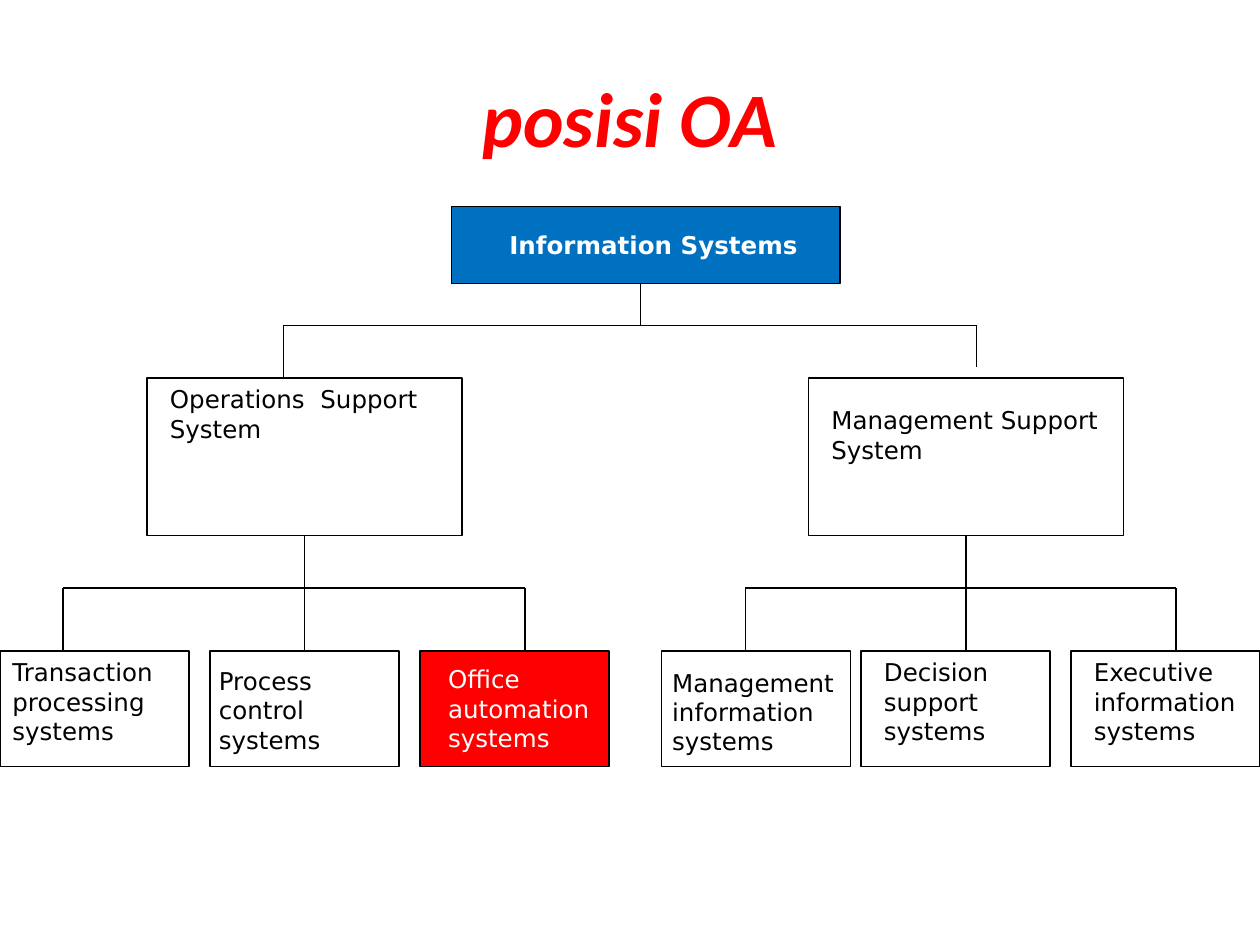
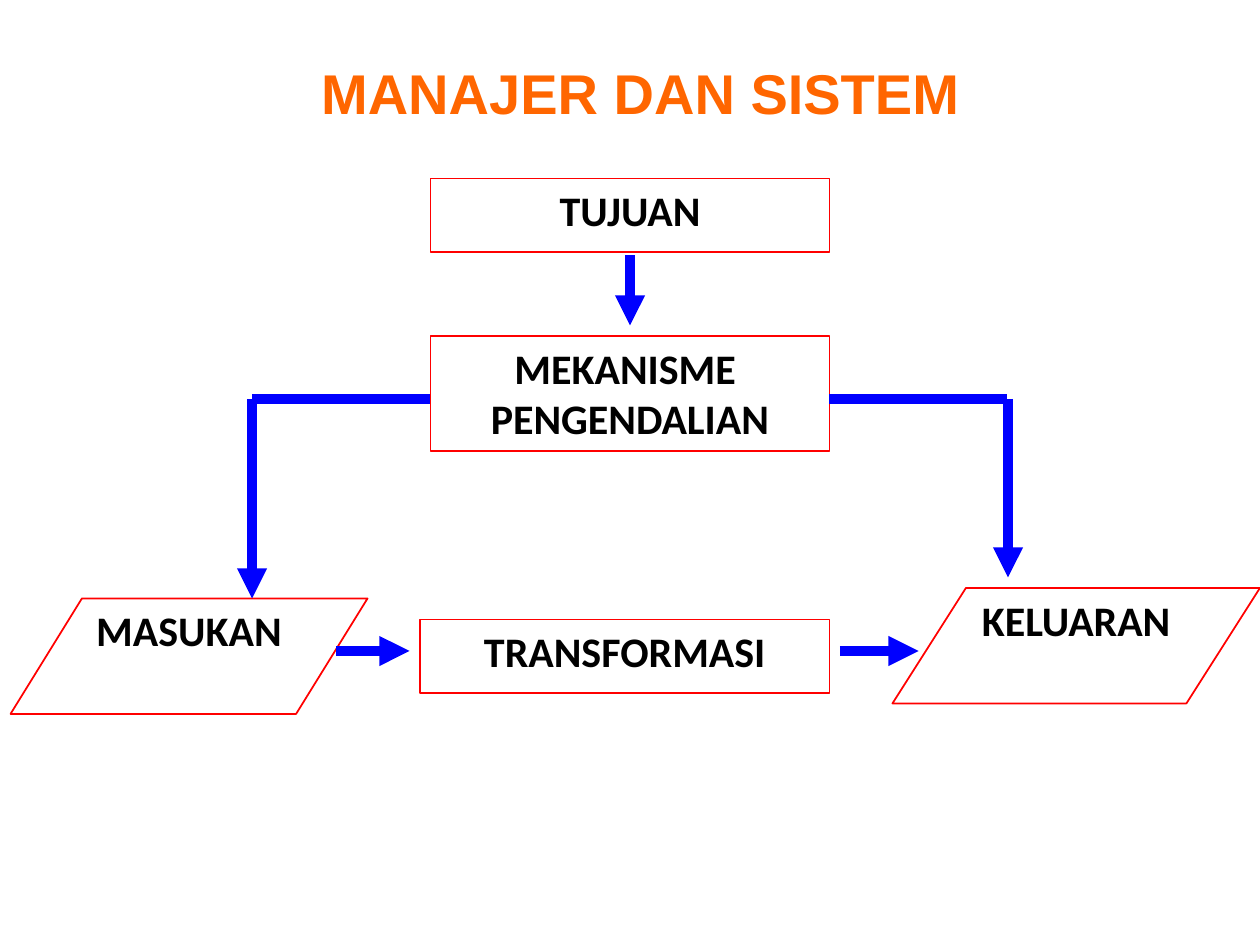
from dataclasses import dataclass
from typing import NamedTuple, Optional

from lxml import etree
from pptx import Presentation
from pptx import util as u
from pptx.dml import color as c
from pptx.enum import shapes as s
from pptx.enum import text as t
from pptx.oxml import ns


class Face(NamedTuple):
    font: str
    size: float
    ink: str
    bold: bool = False
    slant: bool = False


class Pen(NamedTuple):
    ink: str
    width: float


@dataclass(frozen=True)
class Theme:
    blue: str = "0070C0"
    red: str = "FF0000"
    lead: Face = Face("Calibri", 44, "FF0000", True, True)
    head: Face = Face("Arial", 32, "FF6600", True)
    root: Face = Face("DejaVu Sans", 14, "FFFFFF", True)
    dark: Face = Face("DejaVu Sans", 14, "000000")
    light: Face = Face("DejaVu Sans", 14, "FFFFFF")
    step: Face = Face("Calibri", 24, "000000", True)
    thin: Pen = Pen("000000", 0.75)
    edge: Pen = Pen("FF0000", 1)
    flow: Pen = Pen("0000FF", 5.75)


THEME = Theme()
RECT = s.MSO_SHAPE.RECTANGLE
SKEW = s.MSO_SHAPE.FLOWCHART_DATA


class Area(NamedTuple):
    left: float
    top: float
    width: float
    height: float


class Point(NamedTuple):
    x: float
    y: float


@dataclass(frozen=True)
class Node:
    words: str
    box: Area
    label: Area
    face: Face = THEME.dark
    fill: Optional[str] = None


@dataclass(frozen=True)
class Fork:
    stem: Point
    bar: float
    foot: float
    ends: tuple[Point, Point]
    above: Optional[int] = None
    below: Optional[int] = None


@dataclass(frozen=True)
class Step:
    words: str
    box: Area
    kind: s.MSO_SHAPE = RECT


@dataclass(frozen=True)
class Link:
    start: Point
    end: Point
    head: bool = True


def leaf(words: str, left: float, label: Area, **look) -> Node:
    return Node(words, Area(left, 372, 108, 66), label, **look)


NODES = (
    Node("Information Systems", Area(258, 118, 222, 44),
         Area(284, 128, 186, 24), THEME.root, THEME.blue),
    Node("Operations  Support System", Area(84, 216, 180, 90),
         Area(90, 216, 198, 41)),
    Node("Management Support System", Area(462, 216, 180, 90),
         Area(468, 228, 186, 41)),
    leaf("Transaction processing systems", 0, Area(0, 372, 126, 58)),
    leaf("Process control systems", 120, Area(118, 377, 114, 58)),
    leaf("Office automation systems", 240, Area(249, 376, 102, 58),
         face=THEME.light, fill=THEME.red),
    leaf("Management information systems", 378, Area(377, 378, 109, 58)),
    leaf("Decision support systems", 492, Area(498, 372, 90, 58)),
    leaf("Executive information systems", 612, Area(618, 372, 102, 58)),
)

FORKS = (
    Fork(Point(366, 162), 186, 186, (Point(162, 216), Point(558, 210))),
    Fork(Point(174, 306), 336, 372, (Point(36, 372), Point(300, 372)), 1, 4),
    Fork(Point(552, 306), 336, 372, (Point(426, 372), Point(672, 372)), 2),
)

STEPS = (
    Step("TUJUAN", Area(246, 102, 228, 42)),
    Step("MEKANISME  PENGENDALIAN", Area(246, 192, 228, 66)),
    Step("TRANSFORMASI", Area(240, 354, 234, 42)),
    Step("MASUKAN", Area(6, 342, 204, 66), SKEW),
    Step("KELUARAN", Area(510, 336, 210, 66), SKEW),
)

LINKS = (
    Link(Point(192, 372), Point(234, 372)),
    Link(Point(480, 372), Point(525, 372)),
    Link(Point(144, 228), Point(245.5, 228), False),
    Link(Point(144, 228), Point(144, 342)),
    Link(Point(474, 228), Point(575.5, 228), False),
    Link(Point(576, 228), Point(576, 330)),
    Link(Point(360, 146), Point(360, 186)),
)


def pts(values) -> list[u.Pt]:
    return [u.Pt(v) for v in values]


def rgb(ink: str) -> c.RGBColor:
    return c.RGBColor.from_string(ink)


def write(frame, words: str, face: Face, align=t.PP_ALIGN.CENTER,
          anchor=t.MSO_ANCHOR.TOP, fit=t.MSO_AUTO_SIZE.NONE) -> None:
    frame.word_wrap = True
    frame.auto_size = fit
    frame.vertical_anchor = anchor
    frame.text = words
    para = frame.paragraphs[0]
    para.alignment = align
    font = para.font
    font.name, font.size = face.font, u.Pt(face.size)
    font.bold, font.italic = face.bold, face.slant
    font.color.rgb = rgb(face.ink)


def title(slide, words: str, area: Area, face: Face, anchor) -> None:
    shape = slide.shapes.title
    shape.left, shape.top, shape.width, shape.height = pts(area)
    write(shape.text_frame, words, face, anchor=anchor)


def box(slide, area: Area, pen: Pen, fill: Optional[str] = None, kind=RECT):
    shape = slide.shapes.add_shape(kind, *pts(area))
    shape.shadow.inherit = False
    if fill:
        shape.fill.solid()
        shape.fill.fore_color.rgb = rgb(fill)
    else:
        shape.fill.background()
    shape.line.color.rgb = rgb(pen.ink)
    shape.line.width = u.Pt(pen.width)
    return shape


def line(slide, start: Point, end: Point, pen: Pen, head: bool = False):
    wire = slide.shapes.add_connector(
        s.MSO_CONNECTOR.STRAIGHT, *pts((*start, *end)))
    wire.line.color.rgb = rgb(pen.ink)
    wire.line.width = u.Pt(pen.width)
    if head:
        etree.SubElement(wire.line._get_or_add_ln(), ns.qn("a:tailEnd"),
                         type="triangle")
    etree.SubElement(wire._element.spPr, ns.qn("a:effectLst"))
    return wire


def label(slide, node: Node) -> None:
    frame = slide.shapes.add_textbox(*pts(node.label)).text_frame
    write(frame, node.words, node.face, t.PP_ALIGN.LEFT,
          fit=t.MSO_AUTO_SIZE.SHAPE_TO_FIT_TEXT)


def branch(slide, fork: Fork, boxes: list) -> None:
    pen = THEME.thin
    left, right = fork.ends
    line(slide, Point(left.x, fork.bar), Point(right.x, fork.bar), pen)
    for end in fork.ends:
        line(slide, Point(end.x, fork.bar), end, pen)
    stem = line(slide, fork.stem, Point(fork.stem.x, fork.foot), pen)
    if fork.above is not None:
        stem.begin_connect(boxes[fork.above], 2)
    if fork.below is not None:
        stem.end_connect(boxes[fork.below], 0)


def tree(slide) -> None:
    title(slide, "posisi OA", Area(36, 21.6, 648, 90), THEME.lead,
          t.MSO_ANCHOR.MIDDLE)
    boxes = [box(slide, n.box, THEME.thin, n.fill) for n in NODES]
    for node in NODES:
        label(slide, node)
    for fork in FORKS:
        branch(slide, fork, boxes)


def cycle(slide) -> None:
    title(slide, "MANAJER DAN SISTEM", Area(30, 30, 672, 46), THEME.head,
          t.MSO_ANCHOR.TOP)
    for step in STEPS:
        shape = box(slide, step.box, THEME.edge, kind=step.kind)
        write(shape.text_frame, step.words, THEME.step)
    for link in LINKS:
        line(slide, link.start, link.end, THEME.flow, link.head)


def main() -> None:
    deck = Presentation()
    deck.slide_width, deck.slide_height = u.Pt(720), u.Pt(540)
    for draw in (tree, cycle):
        draw(deck.slides.add_slide(deck.slide_layouts[5]))
    deck.save("out.pptx")


if __name__ == "__main__":
    main()
